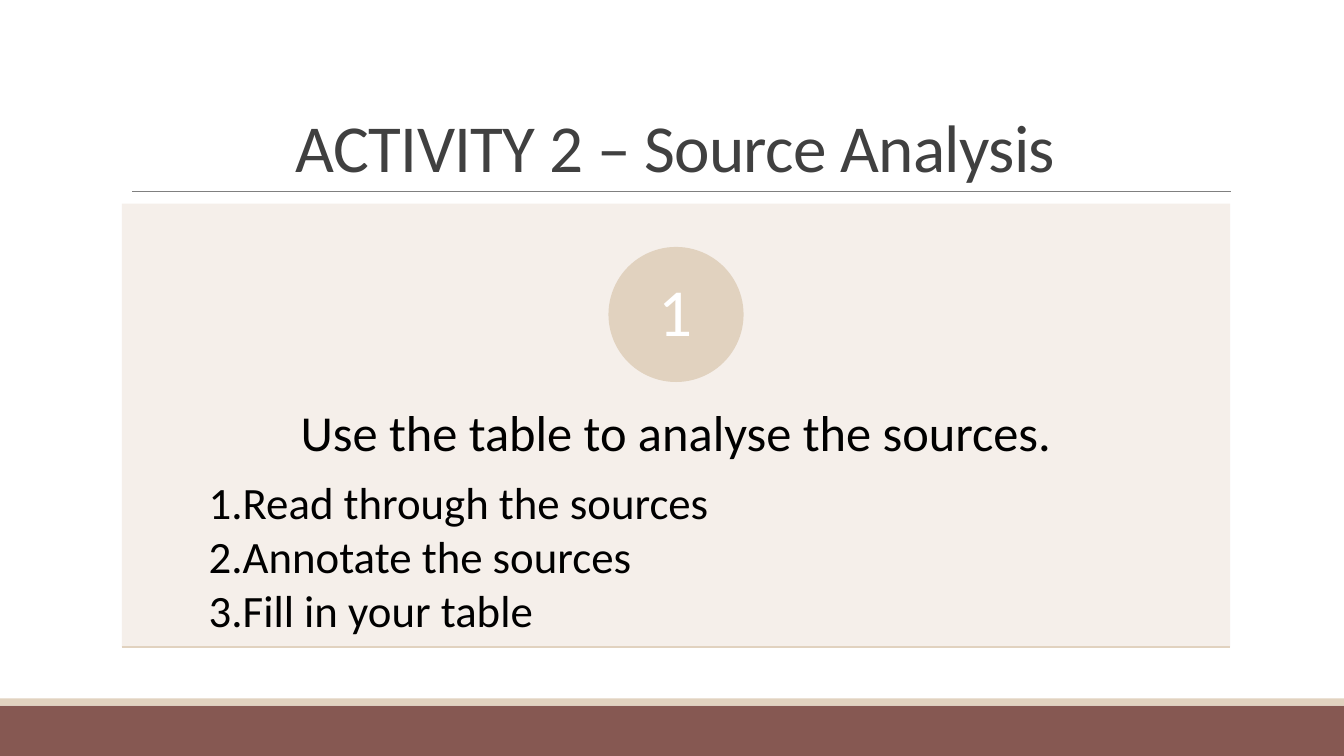
from dataclasses import dataclass

from lxml import etree
from pptx import Presentation
from pptx.dml.color import RGBColor
from pptx.enum.shapes import MSO_CONNECTOR, MSO_SHAPE
from pptx.enum.text import MSO_ANCHOR, MSO_AUTO_SIZE, PP_ALIGN
from pptx.oxml.ns import qn
from pptx.util import Inches, Pt

RECTANGLE, OVAL = MSO_SHAPE.RECTANGLE, MSO_SHAPE.OVAL
STRAIGHT = MSO_CONNECTOR.STRAIGHT
TOP, MIDDLE, BOTTOM = MSO_ANCHOR.TOP, MSO_ANCHOR.MIDDLE, MSO_ANCHOR.BOTTOM
LEFT, CENTER = PP_ALIGN.LEFT, PP_ALIGN.CENTER
NO_AUTOFIT = MSO_AUTO_SIZE.NONE


@dataclass(frozen=True)
class Theme:
    font: str = "Calibri"
    title: str = "404040"
    text: str = "000000"
    white: str = "FFFFFF"
    rule: str = "808080"
    band: str = "865852"
    sand: str = "E1D2BF"
    panel: str = "F4EEE8"
    title_size: int = 48
    lead_size: int = 36
    item_size: int = 32


THEME = Theme()
PAGE_WIDTH, PAGE_HEIGHT = 13.33, 7.5


def apply(target, values):
    for name, value in values.items():
        setattr(target, name, value)


def place(shape, box):
    names = ("left", "top", "width", "height")
    apply(shape, dict(zip(names, map(Inches, box))))


def add_block(page, kind, box, color, alpha=None):
    shape = page.shapes.add_shape(kind, *map(Inches, box))
    shape.shadow.inherit = False
    shape.fill.solid()
    shape.fill.fore_color.rgb = RGBColor.from_string(color)
    shape.line.fill.background()
    if alpha:
        tint = shape.fill._xPr.find(qn("a:solidFill"))[0]
        etree.SubElement(tint, qn("a:alpha"), val=str(alpha * 1000))
    return shape


def add_rule(page, left, right, top, color, width):
    rule = page.shapes.add_connector(
        STRAIGHT, Inches(left), Inches(top), Inches(right), Inches(top))
    rule.line.color.rgb = RGBColor.from_string(color)
    rule.line.width = Pt(width)
    etree.SubElement(rule._element.spPr, qn("a:effectLst"))


def format_frame(frame, anchor, side, edge):
    apply(frame, {
        "word_wrap": True, "auto_size": NO_AUTOFIT, "vertical_anchor": anchor,
        "margin_left": Inches(side), "margin_right": Inches(side),
        "margin_top": Inches(edge), "margin_bottom": Inches(edge)})


def write(para, text, size, color, align=CENTER, spacing=0.9, after=0):
    apply(para, {"alignment": align, "line_spacing": spacing,
                 "space_before": Pt(0), "space_after": Pt(after)})
    span = para.add_run()
    span.text = text
    apply(span.font, {"name": THEME.font, "size": Pt(size), "bold": False})
    span.font.color.rgb = RGBColor.from_string(color)
    return span


def set_bullet(para, numbered):
    indent = Inches(0.31) if numbered else 0
    properties = para._p.get_or_add_pPr()
    properties.set("marL", str(indent))
    properties.set("indent", str(-indent))
    if numbered:
        etree.SubElement(properties, qn("a:buFont"), typeface=THEME.font)
        etree.SubElement(properties, qn("a:buAutoNum"), type="arabicPeriod")
    else:
        etree.SubElement(properties, qn("a:buNone"))


def build_footer(page, box):
    left, top, width, height = box
    stripe = 0.07
    add_block(page, RECTANGLE, (left, top + stripe, width, height - stripe), THEME.band)
    add_block(page, RECTANGLE, (left, top, width, stripe), THEME.sand)


def build_title(page, box, text):
    left, top, width, height = box
    add_rule(page, left + 0.11, left + width + 0.01, top + height, THEME.rule, 0.5)
    title = page.shapes.title
    place(title, box)
    format_frame(title.text_frame, BOTTOM, 0.1, 0.05)
    span = write(title.text_frame.paragraphs[0], text, THEME.title_size,
                 THEME.title, spacing=0.85)
    span._r.get_or_add_rPr().set("spc", "-50")


def build_activity(page, box, number, lead, steps):
    left, top, width, height = box
    add_block(page, RECTANGLE, box, THEME.panel, alpha=90)

    # Instructions, brought in front of the panel
    body = page.placeholders[1]
    body._element.getparent().append(body._element)
    place(body, (left, top + 1.67, width, height - 1.76))
    frame = body.text_frame
    format_frame(frame, TOP, 0.86, 0.36)
    para = frame.paragraphs[0]
    set_bullet(para, numbered=False)
    write(para, lead, THEME.lead_size, THEME.text, after=12.6)
    for step in steps:
        para = frame.add_paragraph()
        set_bullet(para, numbered=True)
        write(para, step, THEME.item_size, THEME.text, align=LEFT, after=4.2)

    # Number badge
    size = 1.34
    badge = add_block(page, OVAL, (left + (width - size) / 2, top + 0.43, size, size),
                      THEME.sand)
    format_frame(badge.text_frame, MIDDLE, 0.1, 0.01)
    write(badge.text_frame.paragraphs[0], number, THEME.title_size, THEME.white)

    # Bottom edge
    add_rule(page, left, left + width, top + height, THEME.sand, 1.25)


def main():
    deck = Presentation()
    deck.slide_width, deck.slide_height = Inches(PAGE_WIDTH), Inches(PAGE_HEIGHT)
    page = deck.slides.add_slide(deck.slide_layouts[1])
    build_footer(page, (0, 6.93, PAGE_WIDTH, 0.57))
    build_title(page, (1.2, 0.31, 11, 1.59), "ACTIVITY 2 – Source Analysis")
    build_activity(
        page, (1.21, 2.02, 10.99, 4.4), "1", "Use the table to analyse the sources.",
        ["Read through the sources", "Annotate the sources", "Fill in your table"])
    deck.save("out.pptx")


if __name__ == "__main__":
    main()
